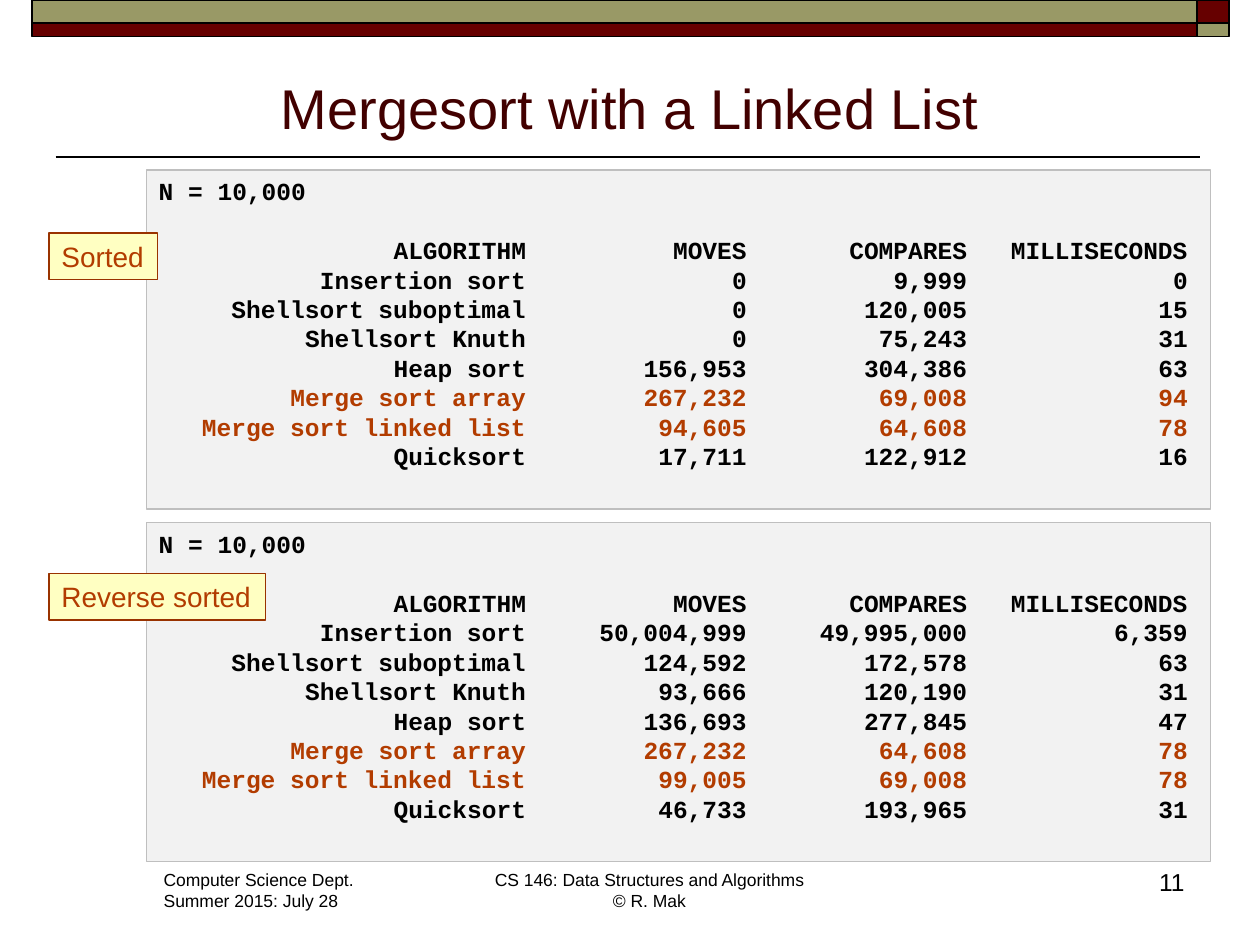
from lxml import etree
from pptx import Presentation
from pptx.dml.color import RGBColor
from pptx.enum.shapes import MSO_CONNECTOR, MSO_SHAPE
from pptx.enum.text import MSO_ANCHOR, MSO_AUTO_SIZE, PP_ALIGN
from pptx.oxml.ns import qn
from pptx.util import Cm, Pt

RECTANGLE = MSO_SHAPE.RECTANGLE
STRAIGHT = MSO_CONNECTOR.STRAIGHT
TOP, BOTTOM = MSO_ANCHOR.TOP, MSO_ANCHOR.BOTTOM
LEFT, CENTER, RIGHT = PP_ALIGN.LEFT, PP_ALIGN.CENTER, PP_ALIGN.RIGHT

BLACK = RGBColor(0x00, 0x00, 0x00)
MAROON = RGBColor(0x66, 0x00, 0x00)
OLIVE = RGBColor(0x99, 0x99, 0x66)
TITLE_RED = RGBColor(0x42, 0x00, 0x00)
RUST = RGBColor(0xB2, 0x3C, 0x00)
TAG_BORDER = RGBColor(0x99, 0x33, 0x00)
TAG_YELLOW = RGBColor(0xFF, 0xFF, 0xC2)
PANEL_GRAY = RGBColor(0xF2, 0xF2, 0xF2)
PANEL_BORDER = RGBColor(0xBF, 0xBF, 0xBF)

HEADINGS = ("ALGORITHM", "MOVES", "COMPARES", "MILLISECONDS")
SORTED_RESULTS = [
    ("Insertion sort", "0", "9,999", "0"),
    ("Shellsort suboptimal", "0", "120,005", "15"),
    ("Shellsort Knuth", "0", "75,243", "31"),
    ("Heap sort", "156,953", "304,386", "63"),
    ("Merge sort array", "267,232", "69,008", "94"),
    ("Merge sort linked list", "94,605", "64,608", "78"),
    ("Quicksort", "17,711", "122,912", "16"),
]
REVERSE_RESULTS = [
    ("Insertion sort", "50,004,999", "49,995,000", "6,359"),
    ("Shellsort suboptimal", "124,592", "172,578", "63"),
    ("Shellsort Knuth", "93,666", "120,190", "31"),
    ("Heap sort", "136,693", "277,845", "47"),
    ("Merge sort array", "267,232", "64,608", "78"),
    ("Merge sort linked list", "99,005", "69,008", "78"),
    ("Quicksort", "46,733", "193,965", "31"),
]


class SlideBuilder:
    body_font = "Arial"
    code_font = "Courier New"
    code_size = Pt(14)
    code_line = Pt(16.8)
    column_ends = [Cm(7.41 + 4.445 * column) for column in range(4)]

    def __init__(self, slide):
        self.slide = slide

    def style(self, paragraph, size, color, align=LEFT, font=None, bold=False):
        paragraph.alignment = align
        paragraph.font.name = font or self.body_font
        paragraph.font.size = size
        paragraph.font.color.rgb = color
        paragraph.font.bold = bold

    def title(self, text, left, top, width, height):
        title = self.slide.shapes.title
        title.left, title.top = Cm(left), Cm(top)
        title.width, title.height = Cm(width), Cm(height)
        frame = title.text_frame
        frame.text = text
        frame.auto_size = MSO_AUTO_SIZE.NONE
        frame.vertical_anchor = BOTTOM
        self.style(frame.paragraphs[0], Pt(32), TITLE_RED, CENTER)

    def box(self, left, top, width, height, fill, border, border_width):
        box = self.slide.shapes.add_shape(
            RECTANGLE, Cm(left), Cm(top), Cm(width), Cm(height))
        box.shadow.inherit = False
        box.fill.solid()
        box.fill.fore_color.rgb = fill
        box.line.color.rgb = border
        box.line.width = Pt(border_width)
        return box

    def rule(self, left, right, y):
        rule = self.slide.shapes.add_connector(
            STRAIGHT, Cm(left), Cm(y), Cm(right), Cm(y))
        rule.line.color.rgb = BLACK
        rule.line.width = Pt(1)
        etree.SubElement(rule._element.spPr, qn("a:effectLst"))

    def footer(self, text, left, top, width, height, size, align=LEFT):
        frame = self.slide.shapes.add_textbox(
            Cm(left), Cm(top), Cm(width), Cm(height)).text_frame
        frame.word_wrap = align == RIGHT
        frame.text = text
        for paragraph in frame.paragraphs:
            self.style(paragraph, Pt(size), BLACK, align)

    def tag(self, text, top, width):
        frame = self.box(0.99, top, width, 0.94, TAG_YELLOW, TAG_BORDER, 0.75).text_frame
        frame.word_wrap = False
        frame.text = text
        self.style(frame.paragraphs[0], Pt(16), RUST)

    def add_column_stops(self, paragraph):
        """Right-align each tabbed column at its end position."""
        stops = etree.SubElement(paragraph._p.get_or_add_pPr(), qn("a:tabLst"))
        for end in self.column_ends:
            etree.SubElement(stops, qn("a:tab"), pos=str(int(end)), algn="r")

    def results(self, top, rows):
        frame = self.box(2.95, top, 21.46, 6.83, PANEL_GRAY, PANEL_BORDER, 0.75).text_frame
        frame.word_wrap = True
        frame.vertical_anchor = TOP
        lines = ["N = 10,000"]
        lines += ["\t" + "\t".join(row) for row in [HEADINGS, *rows]]
        frame.text = "\n".join(lines)
        for line, paragraph in zip(lines, frame.paragraphs):
            paragraph.line_spacing = self.code_line
            color = RUST if "Merge sort" in line else BLACK
            self.style(paragraph, self.code_size, color, font=self.code_font, bold=True)
        caption, *table_lines = frame.paragraphs
        caption.space_after = self.code_line
        for paragraph in table_lines:
            self.add_column_stops(paragraph)


def main():
    presentation = Presentation()
    presentation.slide_width, presentation.slide_height = Cm(25.4), Cm(19.05)
    title_only = presentation.slide_layouts[5]
    builder = SlideBuilder(presentation.slides.add_slide(title_only))

    builder.rule(1.12, 24.2, 3.17)
    for top, height, wide_color, corner_color in [
            (0, 0.46, OLIVE, MAROON), (0.46, 0.28, MAROON, OLIVE)]:
        builder.box(0.64, top, 23.49, height, wide_color, BLACK, 1)
        builder.box(24.13, top, 0.64, height, corner_color, BLACK, 1)

    builder.footer("Computer Science Dept.\nSummer 2015: July 28",
                   3.05, 17.4, 4.39, 1.12, 10)
    builder.footer("CS 146: Data Structures and Algorithms\v© R. Mak",
                   9.7, 17.4, 6.78, 1.12, 10, CENTER)
    builder.footer("11", 18.85, 17.35, 5.28, 1.27, 14, RIGHT)

    builder.title("Mergesort with a Linked List", 1.27, 1.14, 22.86, 1.83)
    builder.results(3.43, SORTED_RESULTS)
    builder.results(10.54, REVERSE_RESULTS)
    builder.tag("Sorted", 4.7, 2.18)
    builder.tag("Reverse sorted", 11.56, 4.37)

    presentation.save("out.pptx")


if __name__ == "__main__":
    main()
